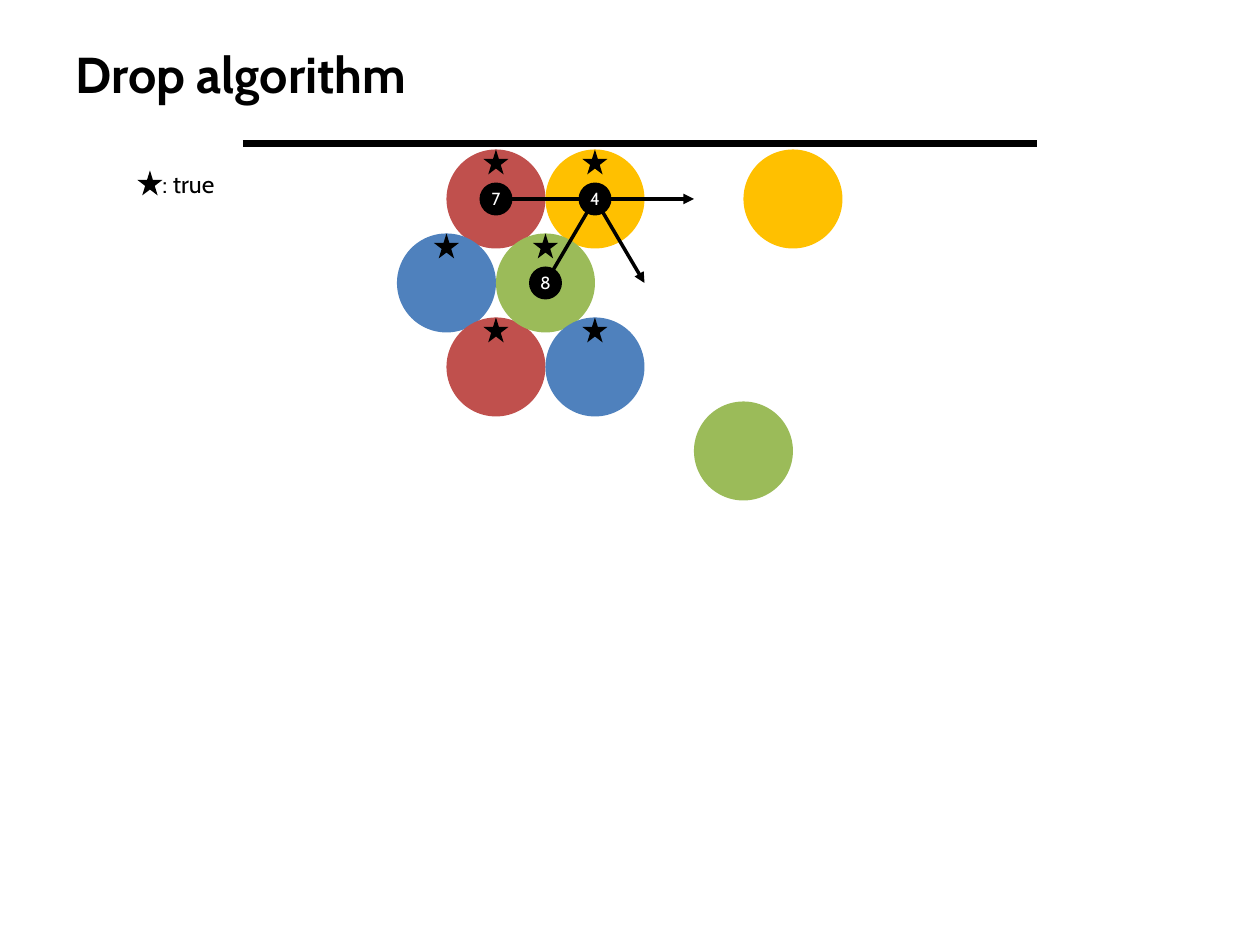
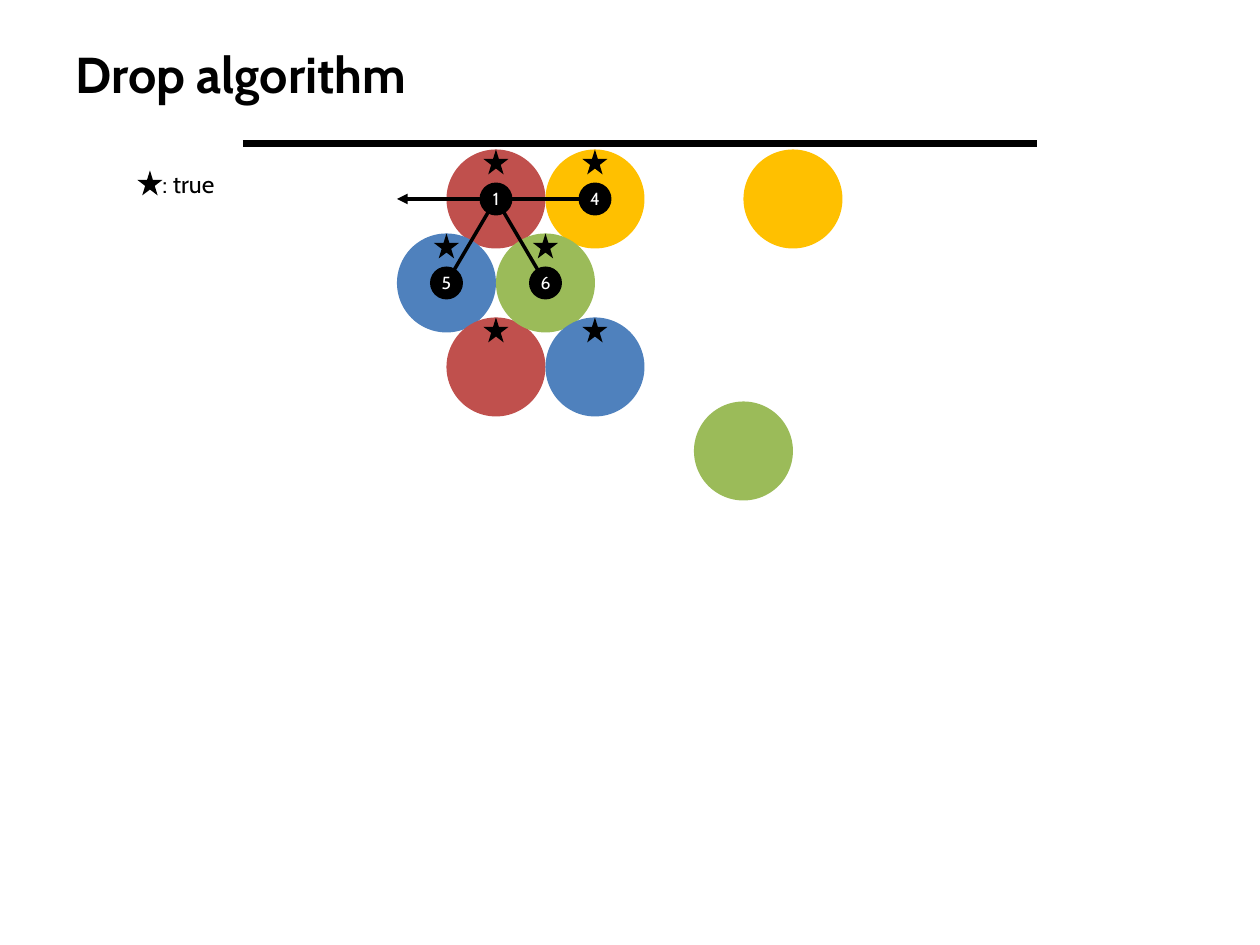
from lxml.etree import SubElement
from pptx import Presentation
from pptx.dml.color import RGBColor
from pptx.enum.shapes import MSO_CONNECTOR as Connector, MSO_SHAPE as Shape
from pptx.enum.text import MSO_ANCHOR as Anchor, MSO_AUTO_SIZE as AutoSize, PP_ALIGN as Align
from pptx.oxml.ns import qn
from pptx.util import Inches, Pt

PX_PER_INCH = 126
FONT = "Cabin"
BLACK, WHITE = "000000", "FFFFFF"
RED, YELLOW, BLUE, GREEN = "C0504D", "FFC000", "4F81BD", "9BBB59"

BALL, BADGE, STAR = 99, 33, 25
FIRST_X, FIRST_Y, ROW_STEP = 496, 199, 84

BALLS = {
    (0, 0): RED, (1, 0): YELLOW, (-0.5, 1): BLUE, (0, 2): RED,
    (0.5, 1): GREEN, (3, 0): YELLOW, (1, 2): BLUE, (2.5, 3): GREEN,
}
CONNECTED = [(0, 0), (1, 0), (-0.5, 1), (0.5, 1), (0, 2), (1, 2)]
NEIGHBOUR_STEPS = [(1, 0), (0.5, 1), (-0.5, 1), (-1, 0)]
VISITS = [
    ((1, 0), {(1, 0): "4", (0, 0): "7", (0.5, 1): "8"}),
    ((0, 0), {(0, 0): "1", (1, 0): "4", (-0.5, 1): "5", (0.5, 1): "6"}),
]


def px(length):
    """Turn pixels into EMU."""
    return round(length * Inches(1) / PX_PER_INCH)


def color(hex_code):
    """Turn a hex string into a colour."""
    return RGBColor.from_string(hex_code)


def center_of(cell):
    """Give the centre of a (column, row) cell of the hexagonal grid."""
    column, row = cell
    return FIRST_X + column * BALL, FIRST_Y + row * ROW_STEP


def set_font(paragraph, size, hex_code, bold=False):
    """Format a paragraph in the deck's font."""
    font = paragraph.font
    font.name, font.size, font.bold = FONT, Pt(size), bold
    font.color.rgb = color(hex_code)


def add_title(slide, text):
    """Place and format the slide title."""
    title = slide.shapes.title
    title.left, title.top, title.width, title.height = map(px, (63, 38, 1134, 71))
    frame = title.text_frame
    frame.text = text
    frame.auto_size = AutoSize.NONE
    frame.vertical_anchor = Anchor.MIDDLE
    frame.paragraphs[0].alignment = Align.LEFT
    set_font(frame.paragraphs[0], 28.8, BLACK, bold=True)


def add_centered(slide, kind, center, size, hex_code):
    """Add a plain filled shape around a centre point."""
    x, y = center
    shape = slide.shapes.add_shape(
        kind, px(x - size / 2), px(y - size / 2), px(size), px(size))
    shape.shadow.inherit = False
    shape.fill.solid()
    shape.fill.fore_color.rgb = color(hex_code)
    shape.line.fill.background()
    return shape


def add_line(slide, start, end, width, arrow=False):
    """Add a black line, with an optional arrowhead at its start."""
    line = slide.shapes.add_connector(Connector.STRAIGHT, *map(px, (*start, *end)))
    line.line.color.rgb = color(BLACK)
    line.line.width = Pt(width)
    outline = line.get_or_add_ln()
    if arrow:
        SubElement(outline, qn("a:headEnd"), type="triangle")
    SubElement(outline.getparent(), qn("a:effectLst"))


def add_badge(slide, cell, number):
    """Add a numbered black disc in the middle of a ball."""
    badge = add_centered(slide, Shape.OVAL, center_of(cell), BADGE, BLACK)
    frame = badge.text_frame
    frame.margin_left = frame.margin_right = frame.margin_top = frame.margin_bottom = 0
    frame.word_wrap = False
    frame.vertical_anchor = Anchor.MIDDLE
    frame.text = number
    frame.paragraphs[0].alignment = Align.CENTER
    set_font(frame.paragraphs[0], 10, WHITE)


def add_star(slide, cell):
    """Mark a ball as connected with a star at its top."""
    x, y = center_of(cell)
    add_centered(slide, Shape.STAR_5_POINT, (x, y - (BALL - STAR) / 2), STAR, BLACK)


def add_legend(slide):
    """Explain the meaning of the star."""
    add_centered(slide, Shape.STAR_5_POINT, (150, 183), STAR, BLACK)
    label = slide.shapes.add_textbox(*map(px, (150, 163, 86, 43)))
    frame = label.text_frame
    frame.word_wrap = False
    frame.text = ": true"
    set_font(frame.paragraphs[0], 14, BLACK)


def add_board(slide):
    """Draw the ceiling and the balls below it."""
    add_line(slide, (243, 144), (1037, 144), 4)
    for cell, hex_code in BALLS.items():
        add_centered(slide, Shape.OVAL, center_of(cell), BALL, hex_code)


def add_visit(slide, hub, numbers):
    """Draw the arrows from a ball to its neighbours and the visit numbers."""
    for column_step, row_step in NEIGHBOUR_STEPS:
        neighbour = hub[0] + column_step, hub[1] + row_step
        add_line(slide, center_of(neighbour), center_of(hub), 2, arrow=True)
    for cell, number in numbers.items():
        add_badge(slide, cell, number)


def main():
    """Build the deck."""
    deck = Presentation()
    deck.slide_width, deck.slide_height = px(1260), px(945)
    for hub, numbers in VISITS:
        slide = deck.slides.add_slide(deck.slide_layouts[5])
        add_title(slide, "Drop algorithm")
        add_board(slide)
        add_visit(slide, hub, numbers)
        add_legend(slide)
        for cell in CONNECTED:
            add_star(slide, cell)
    deck.save("out.pptx")


if __name__ == "__main__":
    main()
